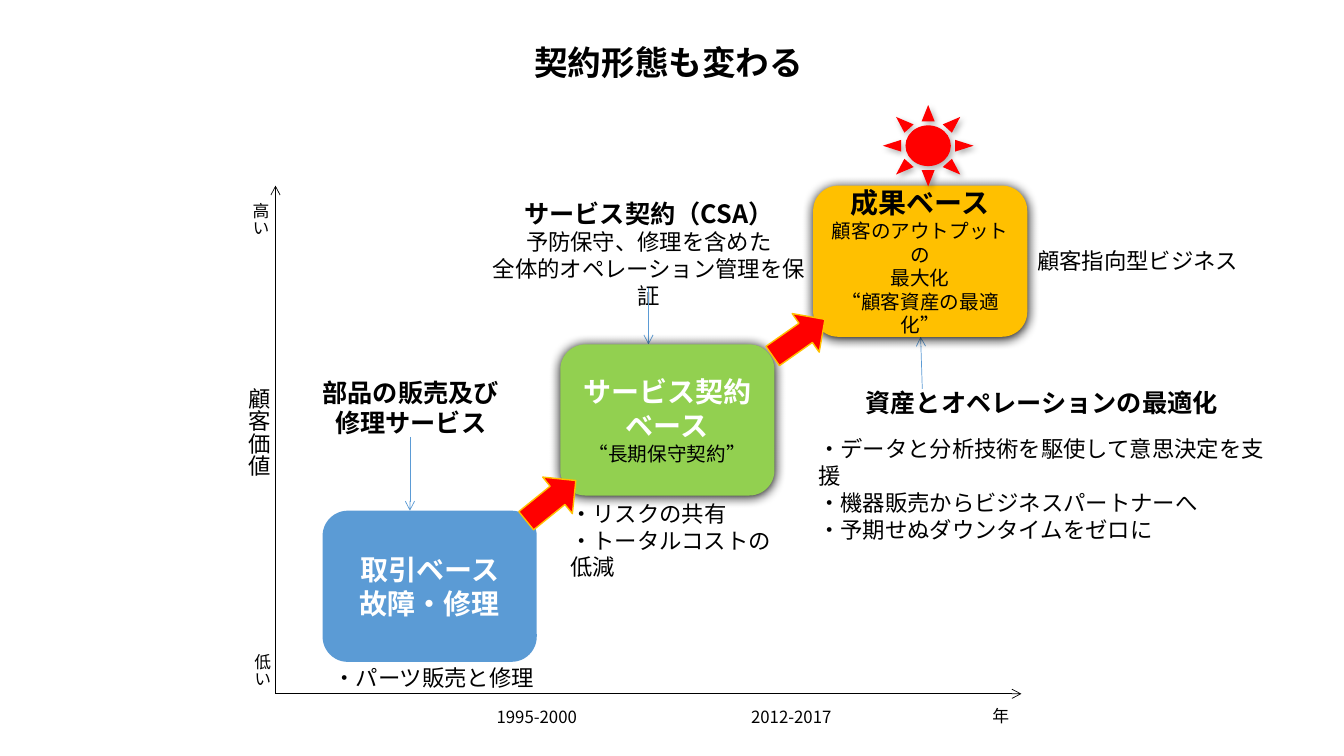
"""Build the slide on how contract types change, as a three-step staircase."""
from dataclasses import dataclass
from typing import Optional

from lxml import etree
from pptx import Presentation
from pptx import util as u
from pptx.dml.color import RGBColor
from pptx.enum import shapes, text
from pptx.oxml.ns import qn

FONT = "Noto Sans CJK JP"
BLACK = RGBColor(0x00, 0x00, 0x00)
WHITE = RGBColor(0xFF, 0xFF, 0xFF)
BLUE = RGBColor(0x5B, 0x9B, 0xD5)
GREEN = RGBColor(0x92, 0xD0, 0x50)
AMBER = RGBColor(0xFF, 0xC0, 0x00)
RED = RGBColor(0xFF, 0x00, 0x00)

WIDTH, HEIGHT = u.Inches(13.333), u.Inches(7.5)
COLS, ROWS = 160, 90
STAGE_SIZE = (25.5, 18)
ARROW_SIZE = (7.6, 5.6)
LEFT, CENTER = text.PP_ALIGN.LEFT, text.PP_ALIGN.CENTER


@dataclass
class Line:
    """One paragraph of uniform text."""
    words: str
    size: float = 16
    bold: bool = False
    color: RGBColor = BLACK
    align: text.PP_ALIGN = CENTER
    before: float = 0


@dataclass
class Label:
    """A text area, placed as column, row, columns, rows."""
    box: tuple
    lines: list
    body: bool = False
    vertical: bool = False


@dataclass
class Shadow:
    """An outer shadow: opacity in percent, blur and distance in points."""
    opacity: float
    blur: float
    distance: float
    angle: float


@dataclass
class Figure:
    """A filled preset shape."""
    kind: shapes.MSO_SHAPE
    box: tuple
    fill: RGBColor
    lines: Optional[list] = None
    shadow: Optional[Shadow] = None
    outline: Optional[RGBColor] = None
    rotation: float = 0


@dataclass
class Pointer:
    """A thin arrow between two grid points."""
    start: tuple
    end: tuple
    color: RGBColor = BLUE


def item(words: str, before: float = 0) -> Line:
    """Return a left-aligned list line."""
    return Line(words, align=LEFT, before=before)


ROUNDED, ARROW = shapes.MSO_SHAPE.ROUNDED_RECTANGLE, shapes.MSO_SHAPE.RIGHT_ARROW
GLOW = Shadow(100, 8.5, 1, 90)
ORIGIN = (32.8, 82.6)
TITLE = Label((31.6, 4.4, 96, 6), [Line("契約形態も変わる", 24, True)])

POINTERS = [
    Pointer(ORIGIN, (32.8, 22.1), BLACK),
    Pointer(ORIGIN, (121.6, 82.6), BLACK),
    Pointer((109.8, 46.3), (109.6, 40.1)),
    Pointer((48.8, 52), (48.8, 60.8)),
    Pointer((77.2, 34.3), (77.2, 41)),
]

FIGURES = [
    Figure(ROUNDED, (38.4, 60.8, *STAGE_SIZE), BLUE,
           [Line("取引ベース\n故障・修理", 20, True, WHITE)]),
    Figure(ROUNDED, (66.7, 41, *STAGE_SIZE), GREEN,
           [Line("サービス契約", 20, True, WHITE), Line("ベース", 20, True, WHITE),
            Line("“長期保守契約”", 14)], GLOW),
    Figure(ROUNDED, (96.8, 22.1, *STAGE_SIZE), AMBER,
           [Line("成果ベース", 20, True), Line("顧客のアウトプットの", 14),
            Line("最大化", 14), Line("“顧客資産の最適化”", 14)], GLOW),
    Figure(shapes.MSO_SHAPE.SUN, (105.1, 12.5, 10.8, 9.7), RED,
           shadow=Shadow(30, 4.5, 2.6, 53)),
    Figure(ARROW, (61.8, 56.8, *ARROW_SIZE), RED, outline=AMBER, rotation=321),
    Figure(ARROW, (91.3, 37.4, *ARROW_SIZE), RED, outline=AMBER, rotation=325),
]

LABELS = [
    Label((35.2, 44.3, 27.4, 8.5),
          [Line("部品の販売及び", 18, True), Line("修理サービス", 18, True)]),
    Label((96.2, 45.5, 55.6, 16.7),
          [Line("資産とオペレーションの最適化", 18, True),
           item("・データと分析技術を駆使して意思決定を支援", 12.6),
           item("・機器販売からビジネスパートナーへ"),
           item("・予期せぬダウンタイムをゼロに")], body=True),
    Label((56.9, 23, 40.7, 11.3),
          [Line("サービス契約（CSA）", 18, True), Line("予防保守、修理を含めた"),
           Line("全体的オペレーション管理を保証")], body=True),
    Label((66.7, 58.9, 27.4, 7.7),
          [item("・リスクの共有"), item("・トータルコストの低減")], body=True),
    Label((38.5, 78.5, 27.4, 4.4), [item("・パーツ販売と修理")], body=True),
    Label((27.4, 45, 5.6, 17.9), [Line("顧客価値")], vertical=True),
    Label((27.5, 23, 5.3, 7.9), [Line("高い", 12)], vertical=True),
    Label((28.2, 76.7, 4.8, 7.9), [Line("低い", 12)], vertical=True),
    Label((54.7, 83.6, 18.4, 3.6), [Line("1995-2000", 12)]),
    Label((85, 83.5, 18.4, 3.6), [Line("2012-2017", 12)]),
    Label((115.9, 83.4, 6.5, 3.6), [Line("年", 12)]),
    Label((122.3, 28.8, 28, 4.4), [item("顧客指向型ビジネス")]),
]


def grid(*values: float) -> list:
    """Turn alternating columns and rows into lengths."""
    units = (WIDTH / COLS, HEIGHT / ROWS)
    return [u.Emu(round(v * units[i % 2])) for i, v in enumerate(values)]


def write(tf, lines: list, anchor=text.MSO_ANCHOR.TOP) -> None:
    """Fill a text frame with plain, unbulleted paragraphs."""
    tf.word_wrap, tf.auto_size = True, text.MSO_AUTO_SIZE.NONE
    tf.vertical_anchor = anchor
    for i, line in enumerate(lines):
        p = tf.add_paragraph() if i else tf.paragraphs[0]
        pPr = p._p.get_or_add_pPr()
        pPr.set("marL", "0")
        pPr.set("indent", "0")
        etree.SubElement(pPr, qn("a:buNone"))
        p.alignment = line.align
        p.line_spacing = u.Pt(line.size * 1.2)
        p.space_before, p.space_after = u.Pt(line.before), u.Pt(0)
        for j, words in enumerate(line.words.split("\n")):
            if j:
                p.add_line_break()
            r = p.add_run()
            r.text = words
            r.font.name, r.font.size, r.font.bold = FONT, u.Pt(line.size), line.bold
            r.font.color.rgb = line.color
            etree.SubElement(r._r.get_or_add_rPr(), qn("a:ea"), typeface=FONT)


def draw_label(sp, label: Label) -> None:
    """Place a text box or placeholder and write its text."""
    sp.left, sp.top, sp.width, sp.height = grid(*label.box)
    write(sp.text_frame, label.lines)
    if label.vertical:
        sp.text_frame._txBody.bodyPr.set("vert", "eaVert")


def draw_pointer(s, pointer: Pointer) -> None:
    """Draw a thin line with an open arrowhead."""
    line = s.shapes.add_connector(shapes.MSO_CONNECTOR.STRAIGHT,
                                  *grid(*pointer.start, *pointer.end))
    line.line.color.rgb, line.line.width = pointer.color, u.Pt(0.5)
    etree.SubElement(line.line._get_or_add_ln(), qn("a:tailEnd"), type="arrow")
    etree.SubElement(line._element.spPr, qn("a:effectLst"))


def draw_figure(s, figure: Figure) -> None:
    """Draw a preset shape with its fill, outline, shadow and text."""
    sp = s.shapes.add_shape(figure.kind, *grid(*figure.box))
    sp.rotation = figure.rotation
    sp.fill.solid()
    sp.fill.fore_color.rgb = figure.fill
    if figure.outline:
        sp.line.color.rgb, sp.line.width = figure.outline, u.Pt(1)
    else:
        sp.line.fill.background()
    sp.shadow.inherit = False
    if figure.shadow:
        shade = etree.SubElement(
            sp._element.spPr.find(qn("a:effectLst")), qn("a:outerShdw"),
            blurRad=str(u.Pt(figure.shadow.blur)), dist=str(u.Pt(figure.shadow.distance)),
            dir=str(figure.shadow.angle * 60000), rotWithShape="0")
        color = etree.SubElement(shade, qn("a:srgbClr"), val=str(BLACK))
        etree.SubElement(color, qn("a:alpha"), val=str(figure.shadow.opacity * 1000))
    if figure.lines:
        write(sp.text_frame, figure.lines, text.MSO_ANCHOR.MIDDLE)


def main() -> None:
    """Build and save the slide."""
    prs = Presentation()
    prs.slide_width, prs.slide_height = WIDTH, HEIGHT
    s = prs.slides.add_slide(prs.slide_layouts.get_by_name("Comparison"))
    title, *bodies = s.placeholders
    draw_label(title, TITLE)
    for label in LABELS:
        draw_label(bodies.pop(0) if label.body else s.shapes.add_textbox(0, 0, 0, 0), label)
    for pointer in POINTERS:
        draw_pointer(s, pointer)
    for figure in FIGURES:
        draw_figure(s, figure)
    prs.save("out.pptx")


if __name__ == "__main__":
    main()
